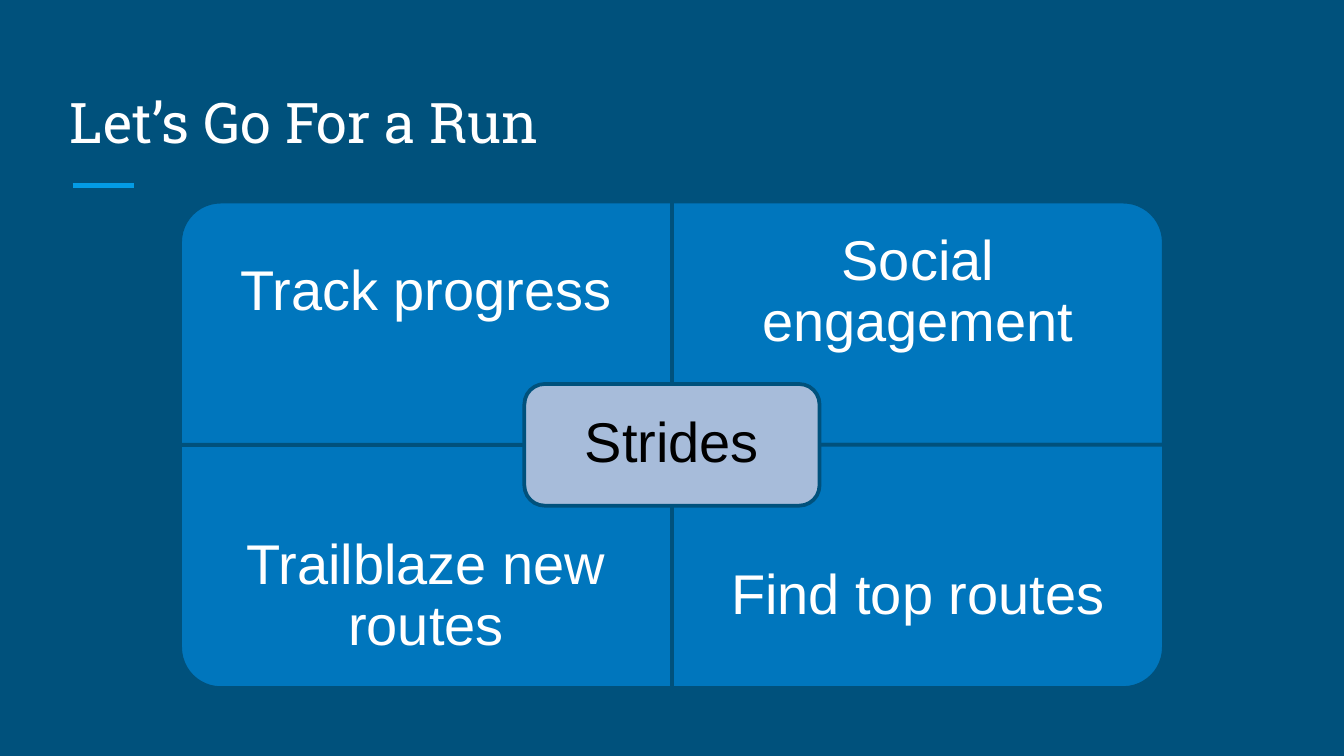
from dataclasses import dataclass

from lxml.etree import SubElement
from pptx import Presentation
from pptx.dml.color import RGBColor
from pptx.enum.shapes import MSO_CONNECTOR as Line, MSO_SHAPE as Shape
from pptx.enum.text import MSO_ANCHOR as Anchor, PP_ALIGN as Align
from pptx.oxml.ns import qn
from pptx.util import Inches, Pt

COLORS = {
    "back": "00517C",
    "panel": "0076BD",
    "hub": "A7BCDA",
    "accent": "039BE5",
    "light": "FFFFFF",
    "dark": "000000",
}
WIDTH = 10
HEIGHT = WIDTH * 9 / 16
GRID_LEFT, GRID_TOP = 1.34, 1.5
COL, ROW = 3.66, 1.81
CORNER = 0.167


@dataclass(frozen=True)
class Box:
    left: float
    top: float
    width: float
    height: float

    def emu(self) -> list[int]:
        return [Inches(v) for v in (self.left, self.top, self.width, self.height)]

    def turned(self) -> "Box":
        shift = (self.width - self.height) / 2
        return Box(self.left + shift, self.top - shift, self.height, self.width)


@dataclass(frozen=True)
class Panel:
    text: str
    col: int
    row: int
    angle: int


PANELS = [
    Panel("Track progress", 0, 0, 270),
    Panel("Social engagement", 1, 0, 0),
    Panel("Trailblaze new routes", 0, 1, 180),
    Panel("Find top routes", 1, 1, 90),
]


def rgb(name: str) -> RGBColor:
    return RGBColor.from_string(COLORS[name])


def grid_box(col: float, row: float, cols: float, rows: float) -> Box:
    return Box(GRID_LEFT + col * COL, GRID_TOP + row * ROW, cols * COL, rows * ROW)


def add_block(s, kind: Shape, box: Box, fill: str, angle: int = 0) -> None:
    sp = s.shapes.add_shape(kind, *box.emu())
    sp.adjustments[0] = CORNER
    sp.rotation = angle
    sp.shadow.inherit = False
    sp.fill.solid()
    sp.fill.fore_color.rgb = rgb(fill)
    sp.line.color.rgb = rgb("back")
    sp.line.width = Pt(2)


def add_text(s, text: str, box: Box, inset: float, font: str = "Arial",
             color: str = "light", anchor: Anchor = Anchor.MIDDLE,
             align: Align = Align.CENTER, spacing: float = 0.9) -> None:
    tf = s.shapes.add_textbox(*box.emu()).text_frame
    frame_format = {"word_wrap": True, "vertical_anchor": anchor}
    frame_format |= {f"margin_{side}": Inches(inset)
                     for side in ("left", "top", "right", "bottom")}
    p = tf.paragraphs[0]
    r = p.add_run()
    r.text = text
    formats = (
        (tf, frame_format),
        (p, {"alignment": align, "line_spacing": spacing}),
        (r.font, {"name": font, "size": Pt(30)}),
    )
    for target, values in formats:
        for key, value in values.items():
            setattr(target, key, value)
    r.font.color.rgb = rgb(color)


def add_rule(s, left: float, right: float, y: float) -> None:
    rule = s.shapes.add_connector(
        Line.STRAIGHT, Inches(left), Inches(y), Inches(right), Inches(y))
    rule.line.color.rgb = rgb("accent")
    rule.line.width = Pt(3)
    SubElement(rule.element.spPr, qn("a:effectLst"))


def add_panel(s, panel: Panel) -> None:
    box = grid_box(panel.col, panel.row, 1, 1)
    frame = box.turned() if panel.angle % 180 else box
    add_block(s, Shape.ROUND_1_RECTANGLE, frame, "panel", panel.angle)
    add_text(s, panel.text, grid_box(panel.col, panel.row * 1.25, 1, 0.75), 0.23)


def main() -> None:
    prs = Presentation()
    prs.slide_width, prs.slide_height = Inches(WIDTH), Inches(HEIGHT)
    s = prs.slides.add_slide(prs.slide_layouts[6])
    s.background.fill.solid()
    s.background.fill.fore_color.rgb = rgb("back")

    add_rule(s, 0.54, 1, 1.38)
    add_text(s, "Let’s Go For a Run", Box(0.42, 0.5, 9.15, 0.75), 0.1,
             "Roboto Slab", anchor=Anchor.BOTTOM, align=Align.LEFT, spacing=1.0)
    for panel in PANELS:
        add_panel(s, panel)

    hub = grid_box(0.7, 0.75, 0.6, 0.5)
    add_block(s, Shape.ROUNDED_RECTANGLE, hub, "hub")
    add_text(s, "Strides", hub, 0.12, color="dark")
    prs.save("out.pptx")


if __name__ == "__main__":
    main()
